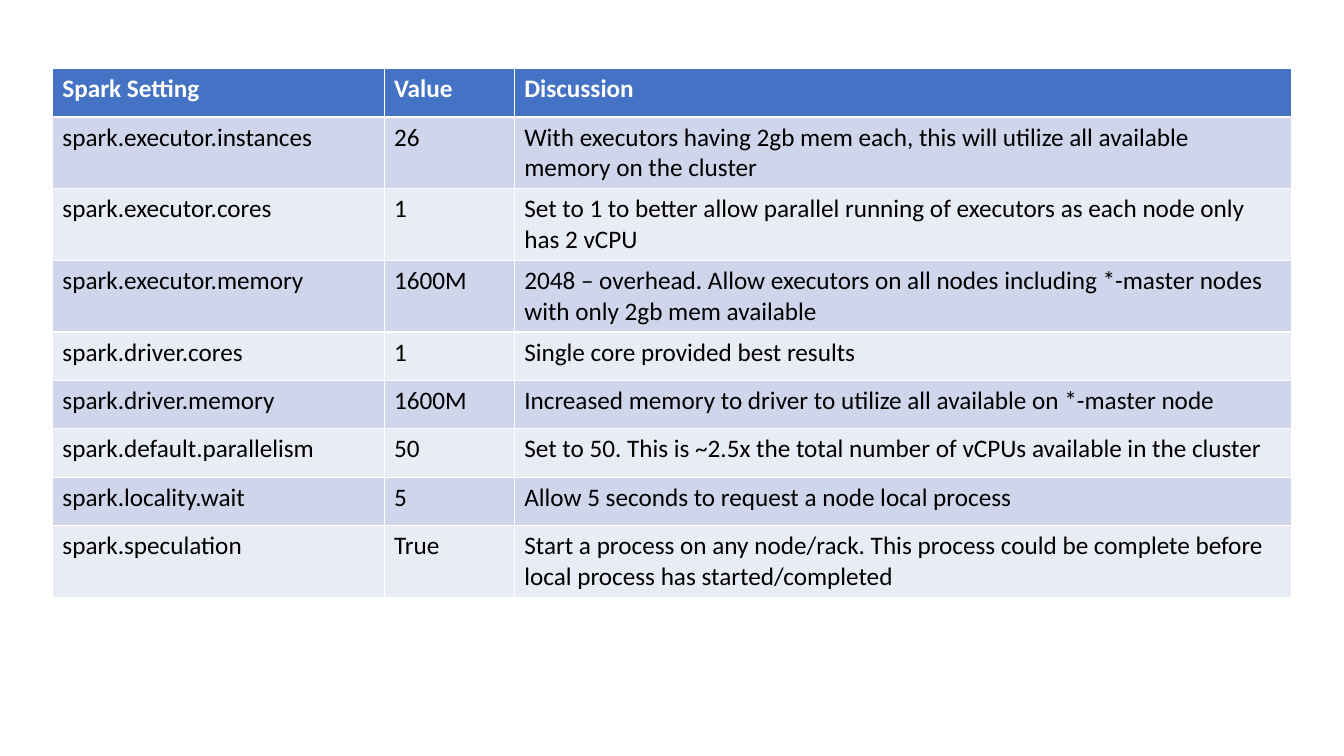
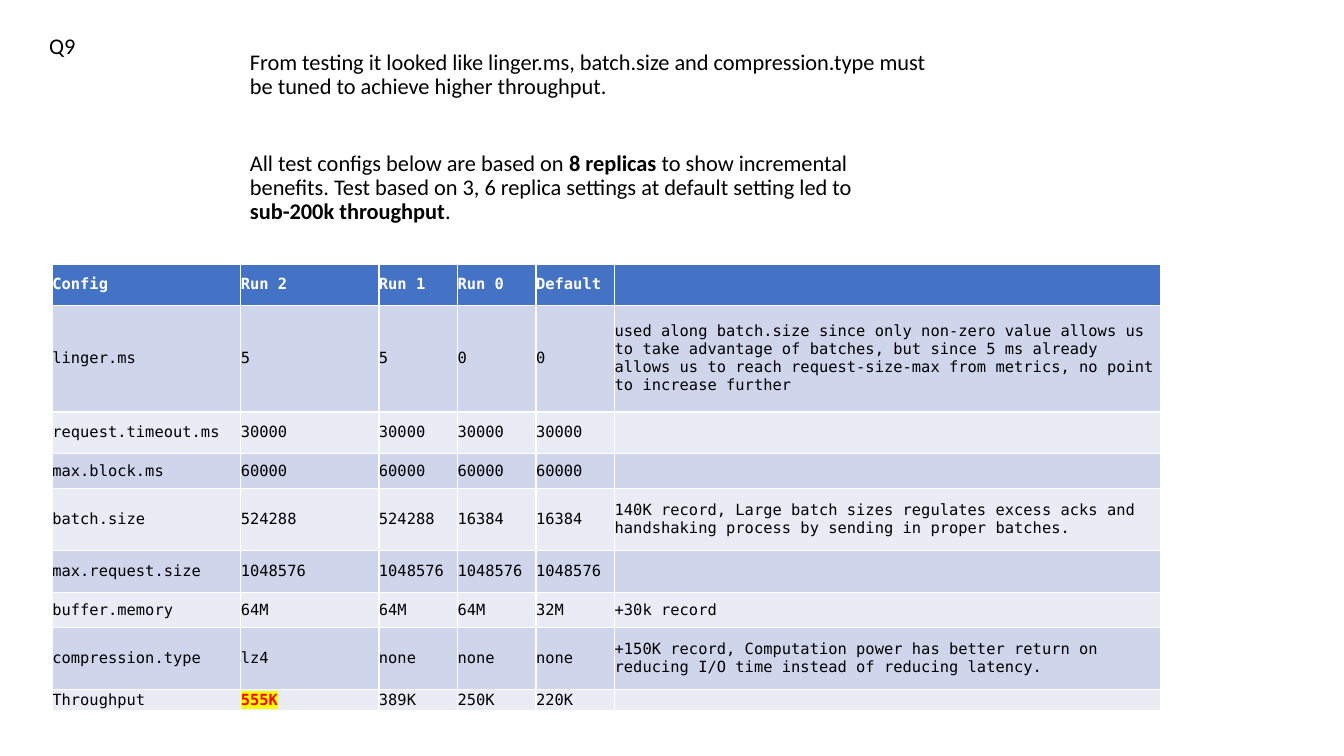
from lxml import etree
from pptx import Presentation
from pptx.dml.color import RGBColor
from pptx.enum.text import MSO_ANCHOR
from pptx.oxml.ns import qn
from pptx.util import Cm, Pt

TOP, MIDDLE = MSO_ANCHOR.TOP, MSO_ANCHOR.MIDDLE

# Shared look
BLACK = RGBColor(0x00, 0x00, 0x00)
WHITE = RGBColor(0xFF, 0xFF, 0xFF)
RED = RGBColor(0xFF, 0x00, 0x00)
YELLOW = RGBColor(0xFF, 0xFF, 0x00)
HEADER = RGBColor(0x44, 0x72, 0xC4)
BANDS = (RGBColor(0xCF, 0xD5, 0xEA), RGBColor(0xE9, 0xEB, 0xF5))
SANS, MONO = "Calibri", "DejaVu Sans Mono"
TABLE_LEFT = 1.32

# Table contents
SPARK_ROWS = [
    ("Spark Setting", "Value", "Discussion"),
    ("spark.executor.instances", "26",
     "With executors having 2gb mem each, this will utilize all available "
     "memory on the cluster"),
    ("spark.executor.cores", "1",
     "Set to 1 to better allow parallel running of executors as each node "
     "only has 2 vCPU"),
    ("spark.executor.memory", "1600M",
     "2048 – overhead. Allow executors on all nodes including *-master nodes "
     "with only 2gb mem available"),
    ("spark.driver.cores", "1", "Single core provided best results"),
    ("spark.driver.memory", "1600M",
     "Increased memory to driver to utilize all available on *-master node"),
    ("spark.default.parallelism", "50",
     "Set to 50. This is ~2.5x the total number of vCPUs available in the "
     "cluster"),
    ("spark.locality.wait", "5",
     "Allow 5 seconds to request a node local process"),
    ("spark.speculation", "True",
     "Start a process on any node/rack. This process could be complete before "
     "local process has started/completed"),
]
CONFIG_ROWS = [
    ("Config", "Run 2", "Run 1", "Run 0", "Default", ""),
    ("linger.ms", "5", "5", "0", "0",
     "used along batch.size since only non-zero value allows us to take "
     "advantage of batches, but since 5 ms already allows us to reach "
     "request-size-max from metrics, no point to increase further"),
    ("request.timeout.ms", "30000", "30000", "30000", "30000", ""),
    ("max.block.ms", "60000", "60000", "60000", "60000", ""),
    ("batch.size", "524288", "524288", "16384", "16384",
     "140K record, Large batch sizes regulates excess acks and handshaking "
     "process by sending in proper batches."),
    ("max.request.size", "1048576", "1048576", "1048576", "1048576", ""),
    ("buffer.memory", "64M", "64M", "64M", "32M", "+30k record"),
    ("compression.type", "lz4", "none", "none", "none",
     "+150K record, Computation power has better return on reducing I/O time "
     "instead of reducing latency."),
    ("Throughput", "555K", "389K", "250K", "220K", ""),
]


def set_font(font, name, size, color=BLACK, bold=False):
    font.name, font.size, font.bold = name, Pt(size), bold
    font.color.rgb = color


def fill_cell(cell, text, fill, name, size, color, bold):
    cell.fill.solid()
    cell.fill.fore_color.rgb = fill
    p = cell.text_frame.paragraphs[0]
    if text:
        p.add_run().text = text
    set_font(p.font, name, size, color, bold)
    if not text:  # keeps an empty cell from growing its row
        etree.SubElement(p._p, qn("a:endParaRPr"), sz=str(size * 100))


def add_banded_table(s, top, widths, heights, rows, name, size,
                     margin=None, anchor=TOP):
    """Table with a header row and alternating row fills; lengths in cm."""
    table = s.shapes.add_table(
        len(rows), len(widths), Cm(TABLE_LEFT), Cm(top),
        Cm(sum(widths)), Cm(sum(heights))).table
    for column, width in zip(table.columns, widths):
        column.width = Cm(width)
    for i, (row, height, texts) in enumerate(zip(table.rows, heights, rows)):
        row.height = Cm(height)
        head = i == 0
        fill = HEADER if head else BANDS[(i - 1) % 2]
        for cell, text in zip(row.cells, texts):
            fill_cell(cell, text, fill, name, size,
                      WHITE if head else BLACK, head)
            cell.vertical_anchor = anchor
            if margin is not None:
                cell.margin_left = cell.margin_right = Cm(margin)
                cell.margin_top = cell.margin_bottom = Cm(margin)
    return table


def highlight(r, color, marker):
    r.font.bold = True
    r.font.color.rgb = color
    mark = etree.SubElement(r.font._element, qn("a:highlight"))
    etree.SubElement(mark, qn("a:srgbClr"), val=str(marker))


def add_text(s, left, top, paragraphs, gap=0):
    """Text box; each paragraph is a list of (text, bold) runs."""
    sp = s.shapes.add_textbox(Cm(left), Cm(top), Cm(17.65), Cm(13.54))
    tf = sp.text_frame
    tf.word_wrap = True
    for i, runs in enumerate(paragraphs):
        p = tf.add_paragraph() if i else tf.paragraphs[0]
        p.line_spacing = 0.9
        if i:
            p.space_before = Pt(gap)
        set_font(p.font, SANS, 16)
        for text, bold in runs:
            r = p.add_run()
            r.text = text
            if bold:
                r.font.bold = True


def spark_slide(s):
    add_banded_table(s, 1.73, [8.36, 3.28, 19.58], [1.22] * len(SPARK_ROWS),
                     SPARK_ROWS, SANS, 18)


def throughput_slide(s):
    add_text(s, 0.99, 0.76, [[("Q9", False)]])
    table = add_banded_table(
        s, 6.65, [4.75, 3.48, 1.98, 1.98, 1.98, 13.77],
        [1.04, 2.69, 1.04, 0.89, 1.57, 1.04, 0.89, 1.57, 0.53],
        CONFIG_ROWS, MONO, 11, margin=0, anchor=MIDDLE)
    best = table.cell(len(CONFIG_ROWS) - 1, 1)
    highlight(best.text_frame.paragraphs[0].runs[0], RED, YELLOW)
    add_text(s, 6.05, 1.17, [
        [("From testing it looked like linger.ms, batch.size and "
          "compression.type must be tuned to achieve higher throughput.",
          False)],
        [("All test configs below are based on ", False),
         ("8 replicas ", True),
         ("to show incremental benefits. Test based on 3, 6 replica settings "
          "at default setting led to ", False),
         ("sub-200k throughput", True),
         (".", False)],
    ], gap=37.5)


def main():
    prs = Presentation()
    prs.slide_width, prs.slide_height = Cm(33.87), Cm(19.05)
    blank = prs.slide_layouts[6]
    for build in (spark_slide, throughput_slide):
        build(prs.slides.add_slide(blank))
    prs.save("out.pptx")


if __name__ == "__main__":
    main()
